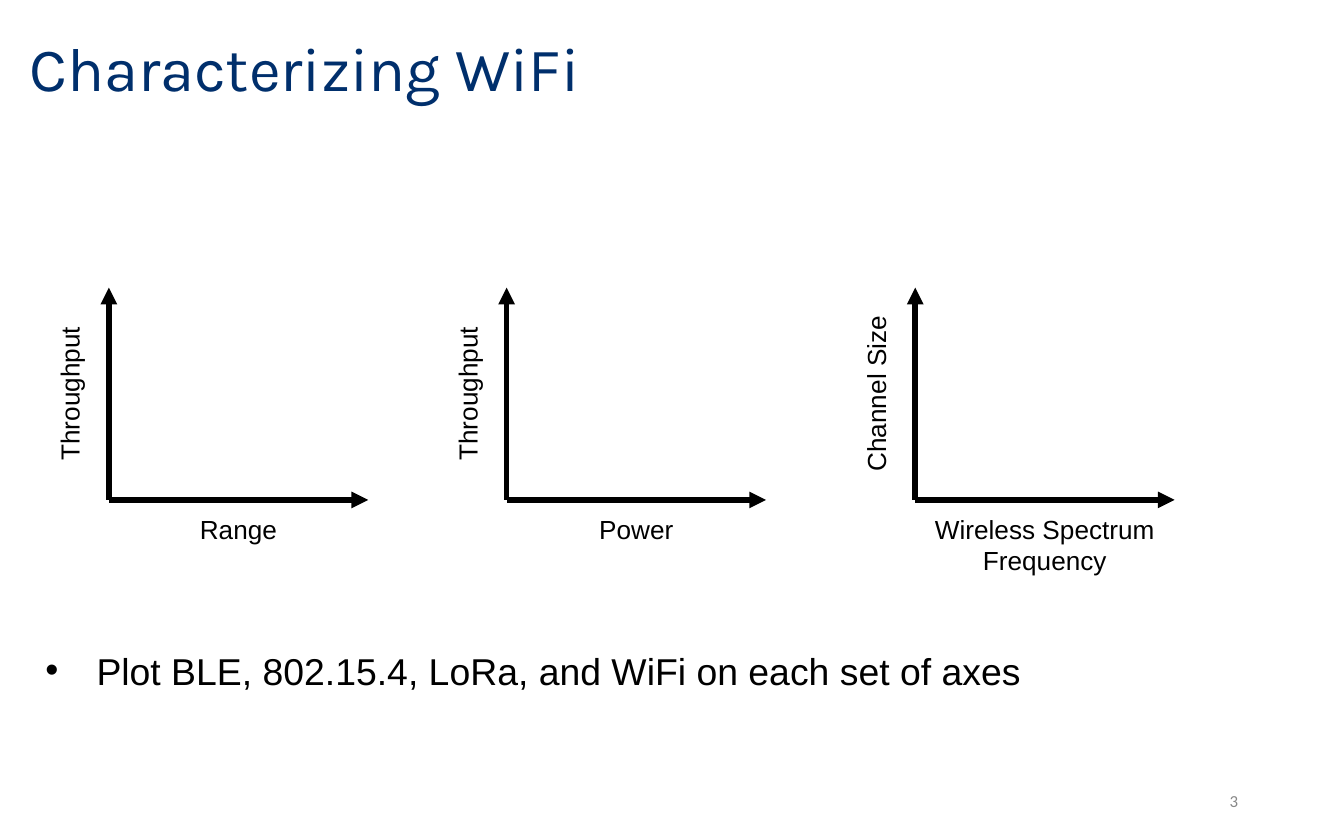
import pptx
import pptx.dml.color
import pptx.enum.shapes
import pptx.enum.text
import pptx.util
from lxml import etree
from pptx.oxml.ns import qn

Inches = pptx.util.Inches
ALIGN = pptx.enum.text.PP_ALIGN
ANCHOR = pptx.enum.text.MSO_ANCHOR
COLORS = {"title": "002F6C", "ink": "000000", "number": "888888"}


def add_text(shapes, text, left, top, width, height, size, font="Arial",
             color="ink", align=ALIGN.LEFT, anchor=ANCHOR.TOP, wrap=True):
    """Add a one-paragraph text box and return it."""
    box = shapes.add_textbox(Inches(left), Inches(top), Inches(width), Inches(height))
    box.text_frame.word_wrap = wrap
    box.text_frame.vertical_anchor = anchor
    para = box.text_frame.paragraphs[0]
    para.text = text
    para.alignment = align
    para.font.size = pptx.util.Pt(size)
    para.font.name = font
    para.font.color.rgb = pptx.dml.color.RGBColor.from_string(COLORS[color])
    return box


def add_arrow(shapes, x1, y1, x2, y2):
    arrow = shapes.add_connector(pptx.enum.shapes.MSO_CONNECTOR.STRAIGHT,
                                 Inches(x1), Inches(y1), Inches(x2), Inches(y2))
    arrow.line.width = pptx.util.Pt(3)
    arrow.line.color.rgb = pptx.dml.color.RGBColor.from_string(COLORS["ink"])
    etree.SubElement(arrow.line._get_or_add_ln(), qn("a:tailEnd"), type="triangle")
    etree.SubElement(arrow._element.spPr, qn("a:effectLst"))


deck = pptx.Presentation()
deck.slide_width, deck.slide_height = Inches(10), Inches(6.25)
page = deck.slides.add_slide(deck.slide_layouts[6])

title = add_text(page.shapes, "Characterizing WiFi", 0.12, 0.1, 8.52, 0.86, 33,
                 font="Karla", color="title", anchor=ANCHOR.MIDDLE)
title.text_frame.paragraphs[0].line_spacing = 0.9

# Empty axes: origin x, vertical label, horizontal label, label height
axes = [
    (0.81, "Throughput", "Range", 0.34),
    (3.77, "Throughput", "Power", 0.34),
    (6.81, "Channel Size", "Wireless Spectrum\vFrequency", 0.57),
]
BASE, TOP, AXIS_WIDTH = 3.72, 2.14, 1.93
LABEL_WIDTH, LABEL_HEIGHT = 1.37, 0.34
for origin, y_label, x_label, x_label_height in axes:
    group = page.shapes.add_group_shape().shapes
    add_arrow(group, origin, BASE, origin + AXIS_WIDTH, BASE)
    add_arrow(group, origin, BASE, origin, TOP)
    add_text(group, x_label, origin, BASE + 0.05, AXIS_WIDTH, x_label_height, 14,
             align=ALIGN.CENTER, wrap=False)
    side = add_text(group, y_label, origin - 0.29 - LABEL_WIDTH / 2,
                    (BASE + TOP) / 2 - LABEL_HEIGHT / 2, LABEL_WIDTH, LABEL_HEIGHT, 14,
                    align=ALIGN.CENTER, wrap=False)
    side.rotation = 270

task = page.shapes.add_textbox(Inches(0.12), Inches(4.77), Inches(9.77), Inches(0.86))
task.text_frame.word_wrap = True
para = task.text_frame.paragraphs[0]
para.text = "Plot BLE, 802.15.4, LoRa, and WiFi on each set of axes"
properties = para._p.get_or_add_pPr()
properties.set("marL", str(Inches(0.5)))
properties.set("indent", str(Inches(-0.38)))
etree.SubElement(properties, qn("a:buFont"), typeface="Arial")
etree.SubElement(properties, qn("a:buChar"), char="•")
para.font.size = pptx.util.Pt(20)
para.font.name = "Arial"
para.font.color.rgb = pptx.dml.color.RGBColor.from_string(COLORS["ink"])

add_text(page.shapes, "3", 7.06, 5.79, 2.25, 0.33, 9, font="Calibri",
         color="number", align=ALIGN.RIGHT, anchor=ANCHOR.MIDDLE)

deck.save("out.pptx")
